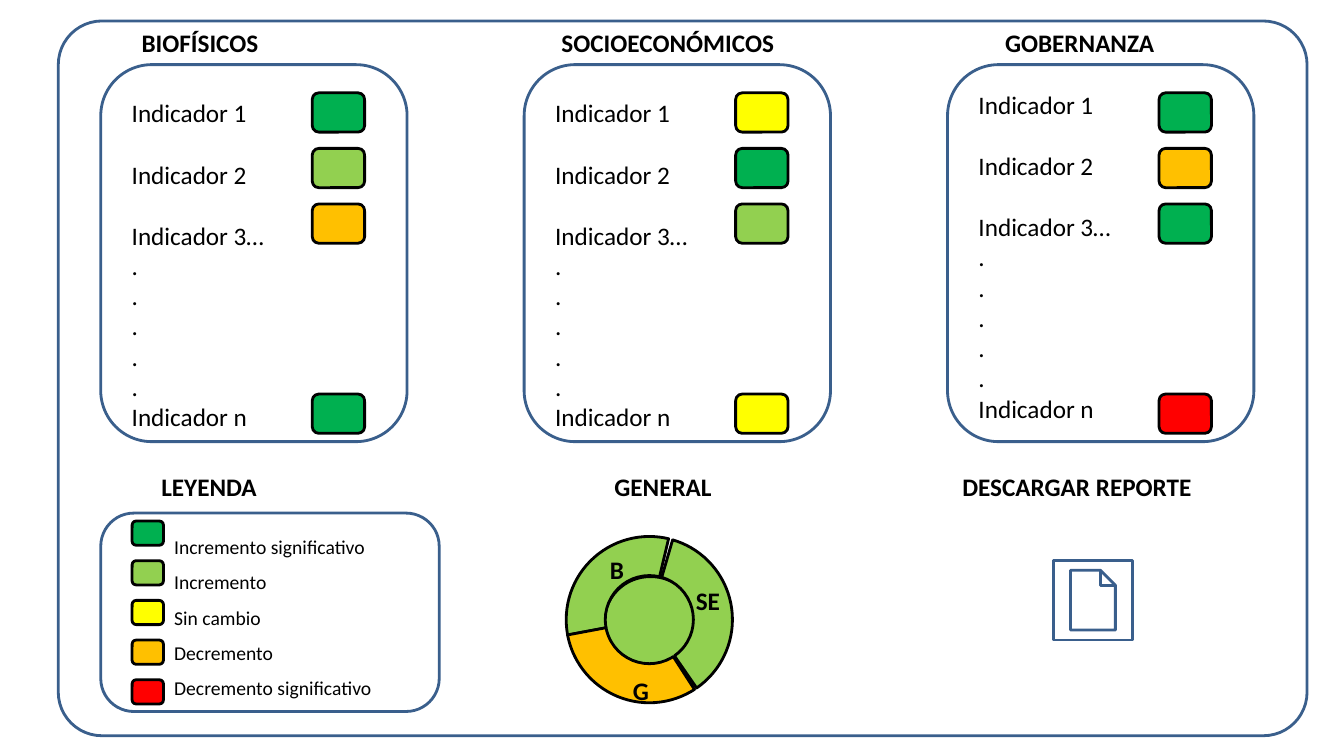
from pptx import Presentation
from pptx import util as u
from pptx.dml.color import RGBColor
from pptx.enum import shapes, text

COLORS = {
    "blue": "3A5F8C", "black": "000000",
    "strong_rise": "00B050", "rise": "92D050", "same": "FFFF00",
    "fall": "FFC000", "strong_fall": "FF0000",
}
KIND = shapes.MSO_SHAPE

deck = Presentation()
deck.slide_width, deck.slide_height = u.Cm(33.87), u.Cm(19.05)
page = deck.slides.add_slide(deck.slide_layouts[6])


def add_shape(kind, left, top, width, height, fill=None, line="blue", adjust=()):
    shape = page.shapes.add_shape(kind, u.Cm(left), u.Cm(top), u.Cm(width), u.Cm(height))
    shape.shadow.inherit = False
    if fill:
        shape.fill.solid()
        shape.fill.fore_color.rgb = RGBColor.from_string(COLORS[fill])
    else:
        shape.fill.background()
    shape.line.color.rgb = RGBColor.from_string(COLORS[line])
    shape.line.width = u.Pt(2)
    for index, value in enumerate(adjust):
        shape.adjustments[index] = value


def add_text(lines, left, top, width, height, size=18, bold=False, centered=False,
             spacing=1.0, gap_after=()):
    box = page.shapes.add_textbox(u.Cm(left), u.Cm(top), u.Cm(width), u.Cm(height))
    frame = box.text_frame
    frame.word_wrap = True
    if centered:
        frame.vertical_anchor = text.MSO_ANCHOR.MIDDLE
    for index, line in enumerate(lines):
        para = frame.add_paragraph() if index else frame.paragraphs[0]
        para.line_spacing = spacing
        para.alignment = text.PP_ALIGN.CENTER if centered else text.PP_ALIGN.LEFT
        if index in gap_after:
            para.space_after = u.Pt(22)
        span = para.add_run()
        span.text = line
        span.font.name = "Calibri"
        span.font.size = u.Pt(size)
        span.font.bold = bold
        span.font.color.rgb = RGBColor.from_string(COLORS["black"])


# Outer frame
add_shape(KIND.ROUNDED_RECTANGLE, 1.47, 0.53, 31.47, 18.01, adjust=[0.061])

# Indicator panels: text top and status of indicators 1, 2, 3 and n
indicators = ["Indicador 1", "Indicador 2", "Indicador 3…", *["."] * 5, "Indicador n"]
panels = [
    (2.34, ["strong_rise", "rise", "fall", "strong_rise"]),
    (2.34, ["same", "strong_rise", "rise", "same"]),
    (2.13, ["strong_rise", "fall", "strong_rise", "strong_fall"]),
]
for column, (text_top, statuses) in enumerate(panels):
    left = 2.54 + column * 10.67
    add_shape(KIND.ROUNDED_RECTANGLE, left, 1.63, 7.72, 9.5)
    add_text(indicators, left + 0.53, text_top, 6.65, 8.71, gap_after=(0, 1))
    for top, status in zip([2.34, 3.74, 5.14, 9.93], statuses):
        add_shape(KIND.ROUNDED_RECTANGLE, left + 5.33, top, 1.32, 0.99, status, "black")

# Legend
legend = {
    "Incremento significativo": "strong_rise",
    "Incremento": "rise",
    "Sin cambio": "same",
    "Decremento": "fall",
    "Decremento significativo": "strong_fall",
}
add_shape(KIND.ROUNDED_RECTANGLE, 2.54, 12.93, 8.53, 5)
for row, status in enumerate(legend.values()):
    add_shape(KIND.ROUNDED_RECTANGLE, 3.33, 13.13 + row, 0.79, 0.61, status, "black")
add_text(legend, 4.14, 13.06, 6.5, 4.75, size=14, spacing=1.5)

# General ring: start and end angles in degrees, 0.6 adjustment units each
add_shape(KIND.OVAL, 15.24, 14.53, 2.31, 2.21, "rise", "black")
for start, end, status in [(169.3, 283.4, "rise"), (286.3, 55.3, "rise"), (57.1, 169.4, "fall")]:
    add_shape(KIND.BLOCK_ARC, 14.27, 13.52, 4.19, 4.19, status, "black",
              [start * 0.6, end * 0.6, 0.235])

# Report download button
add_shape(KIND.ACTION_BUTTON_DOCUMENT, 26.54, 14.12, 2.01, 2.01)

# Headings and ring letters, placed by their centres
labels = [
    ("BIOFÍSICOS", 5.04, 1.06), ("SOCIOECONÓMICOS", 16.83, 1.06), ("GOBERNANZA", 27.21, 1.06),
    ("LEYENDA", 5.27, 12.25), ("GENERAL", 16.71, 12.25), ("DESCARGAR REPORTE", 27.14, 12.25),
    ("B", 15.55, 14.36), ("SE", 17.84, 15.12), ("G", 16.15, 17.39),
]
for label, center, middle in labels:
    width = 8 if len(label) > 2 else 1.6
    add_text([label], center - width / 2, middle - 0.5, width, 1, bold=True, centered=True)

deck.save("out.pptx")
